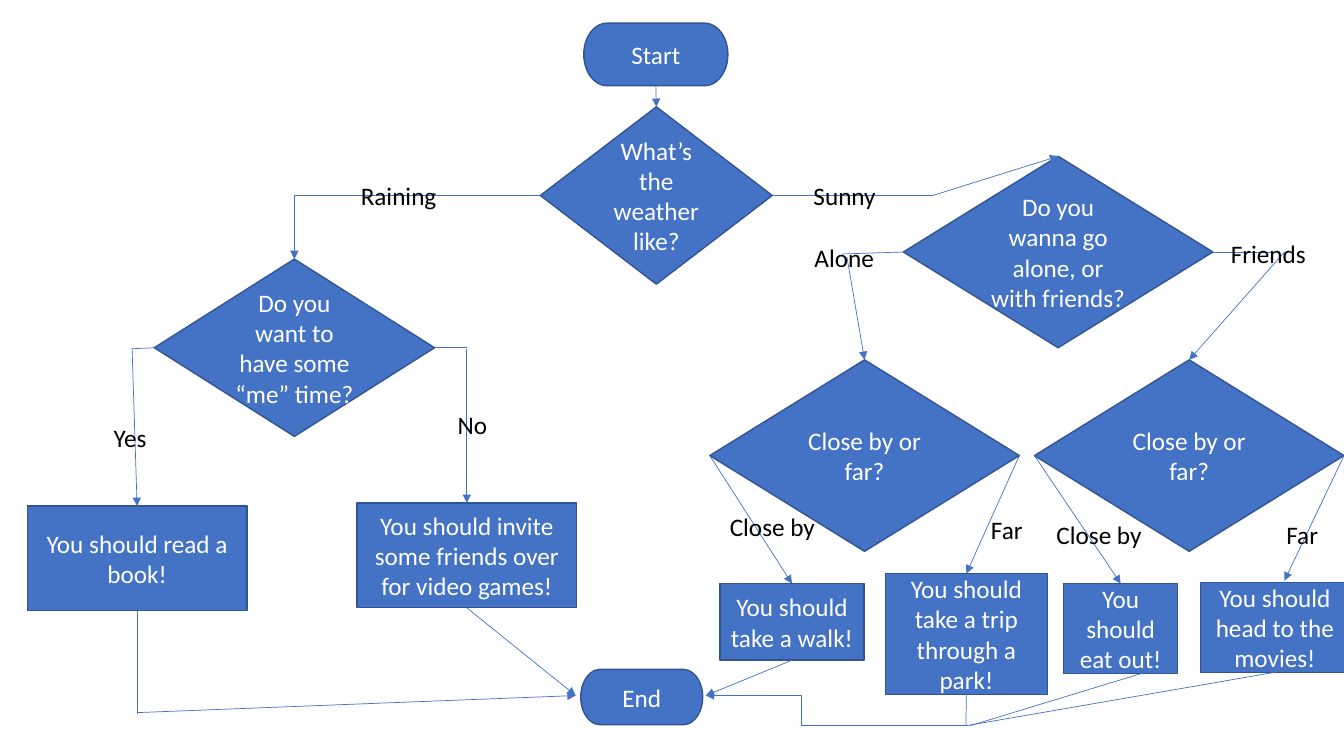
from lxml import etree
from pptx import Presentation
from pptx.dml.color import RGBColor
from pptx.enum.shapes import MSO_CONNECTOR, MSO_SHAPE
from pptx.enum.text import MSO_ANCHOR, MSO_AUTO_SIZE, PP_ALIGN
from pptx.oxml.ns import qn
from pptx.util import Pt

PX = 9144  # 100 px to the inch
DIAMOND, RECT = MSO_SHAPE.DIAMOND, MSO_SHAPE.RECTANGLE
TERMINATOR = MSO_SHAPE.FLOWCHART_TERMINATOR
STRAIGHT, ELBOW = MSO_CONNECTOR.STRAIGHT, MSO_CONNECTOR.ELBOW
LEFT, CENTER = PP_ALIGN.LEFT, PP_ALIGN.CENTER
TOP, MIDDLE = MSO_ANCHOR.TOP, MSO_ANCHOR.MIDDLE
T, L, B, R = range(4)  # connection sites


def rgb(color):
    return RGBColor.from_string(color)


def write(sp, text, color="FFFFFF", size=18, align=CENTER, anchor=MIDDLE):
    tf = sp.text_frame
    tf.word_wrap = True
    tf.vertical_anchor = anchor
    p = tf.paragraphs[0]
    p.alignment = align
    r = p.add_run()
    r.text = text
    r.font.name = "Calibri"
    r.font.size = Pt(size)
    r.font.color.rgb = rgb(color)


prs = Presentation()
prs.slide_width, prs.slide_height = 1333 * PX, 750 * PX
s = prs.slides.add_slide(prs.slide_layouts[6])

# name: preset, left, top, width, height, text
steps = {
    "start": (TERMINATOR, 579, 23, 143, 62, "Start"),
    "weather": (DIAMOND, 536, 106, 230, 176, "What’s the weather like?"),
    "me time": (DIAMOND, 153, 257, 278, 176, "Do you want to have some “me” time?"),
    "company": (DIAMOND, 896, 155, 307, 190, "Do you wanna go alone, or with friends?"),
    "alone": (DIAMOND, 704, 357, 307, 190, "Close by or far?"),
    "friends": (DIAMOND, 1026, 357, 307, 190, "Close by or far?"),
    "book": (RECT, 27, 502, 218, 104, "You should read a book!"),
    "games": (RECT, 354, 499, 218, 104, "You should invite some friends over for video games!"),
    "walk": (RECT, 714, 579, 143, 76, "You should take a walk!"),
    "park": (RECT, 878, 569, 161, 120, "You should take a trip through a park!"),
    "eat": (RECT, 1055, 579, 113, 89, "You should eat out!"),
    "movies": (RECT, 1191, 578, 147, 89, "You should head to the movies!"),
    "end": (TERMINATOR, 576, 664, 121, 55, "End"),
}
nodes = {}
for name, (preset, x, y, w, h, text) in steps.items():
    sp = s.shapes.add_shape(preset, x * PX, y * PX, w * PX, h * PX)
    sp.shadow.inherit = False
    sp.fill.solid()
    sp.fill.fore_color.rgb = rgb("4472C4")
    sp.line.color.rgb = rgb("325491")
    sp.line.width = Pt(1)
    write(sp, text)
    nodes[name] = sp

# Each end is a (step, site) pair or an (x, y) point
into_end_left, into_end_right = (571, 690), (700, 690)
merge = (958, 720)
links = [
    # kind, from, to, arrowhead
    (STRAIGHT, ("start", B), ("weather", T), True),
    (STRAIGHT, ("weather", L), (292, 194), False),
    (STRAIGHT, (292, 194), ("me time", T), True),
    (STRAIGHT, ("weather", R), (925, 194), False),
    (STRAIGHT, (925, 194), ("company", T), True),
    (STRAIGHT, ("me time", L), (131, 346), False),
    (STRAIGHT, (131, 345), ("book", T), True),
    (STRAIGHT, ("me time", R), (463, 345), False),
    (STRAIGHT, (463, 346), ("games", T), True),
    (STRAIGHT, ("company", L), (835, 252), False),
    (STRAIGHT, (840, 255), ("alone", T), True),
    (STRAIGHT, ("company", R), (1264, 250), False),
    (STRAIGHT, (1274, 250), ("friends", T), True),
    (STRAIGHT, ("alone", L), ("walk", T), True),
    (STRAIGHT, ("alone", R), ("park", T), True),
    (STRAIGHT, ("friends", L), ("eat", T), True),
    (STRAIGHT, ("friends", R), (1274, 576), True),
    (STRAIGHT, ("book", B), (136, 708), False),
    (STRAIGHT, (136, 707), into_end_left, True),
    (STRAIGHT, ("games", B), into_end_left, True),
    (STRAIGHT, ("walk", B), into_end_right, True),
    (STRAIGHT, ("park", B), merge, False),
    (STRAIGHT, ("movies", B), merge, False),
    (STRAIGHT, (1136, 667), (962, 720), False),
    (ELBOW, merge, into_end_right, True),
]
for kind, start, end, arrow in links:
    x1, y1, x2, y2 = [0 if isinstance(v, str) else v * PX for v in start + end]
    cxn = s.shapes.add_connector(kind, x1, y1, x2, y2)
    if start[0] in nodes:
        cxn.begin_connect(nodes[start[0]], start[1])
    if end[0] in nodes:
        cxn.end_connect(nodes[end[0]], end[1])
    cxn.line.color.rgb = rgb("4472C4")
    cxn.line.width = Pt(0.5)
    if arrow:
        etree.SubElement(cxn.line._get_or_add_ln(), qn("a:tailEnd"), type="triangle")
    spPr = cxn._element.spPr
    etree.SubElement(spPr, qn("a:effectLst"))
    if kind == ELBOW:
        guides = spPr.find(qn("a:prstGeom")).find(qn("a:avLst"))
        etree.SubElement(guides, qn("a:gd"), name="adj1", fmla="val 63200")

answers = [
    ("Raining", 348, 174), ("Sunny", 797, 174), ("Yes", 103, 414), ("No", 444, 401),
    ("Alone", 798, 235), ("Friends", 1211, 232), ("Close by", 714, 502),
    ("Far", 973, 505), ("Close by", 1038, 510), ("Far", 1266, 510),
]
for text, x, y in answers:
    tb = s.shapes.add_textbox(x * PX, y * PX, 147 * PX, 40 * PX)
    write(tb, text, color="000000", align=LEFT, anchor=TOP)
    tb.text_frame.auto_size = MSO_AUTO_SIZE.SHAPE_TO_FIT_TEXT

prs.save("out.pptx")
